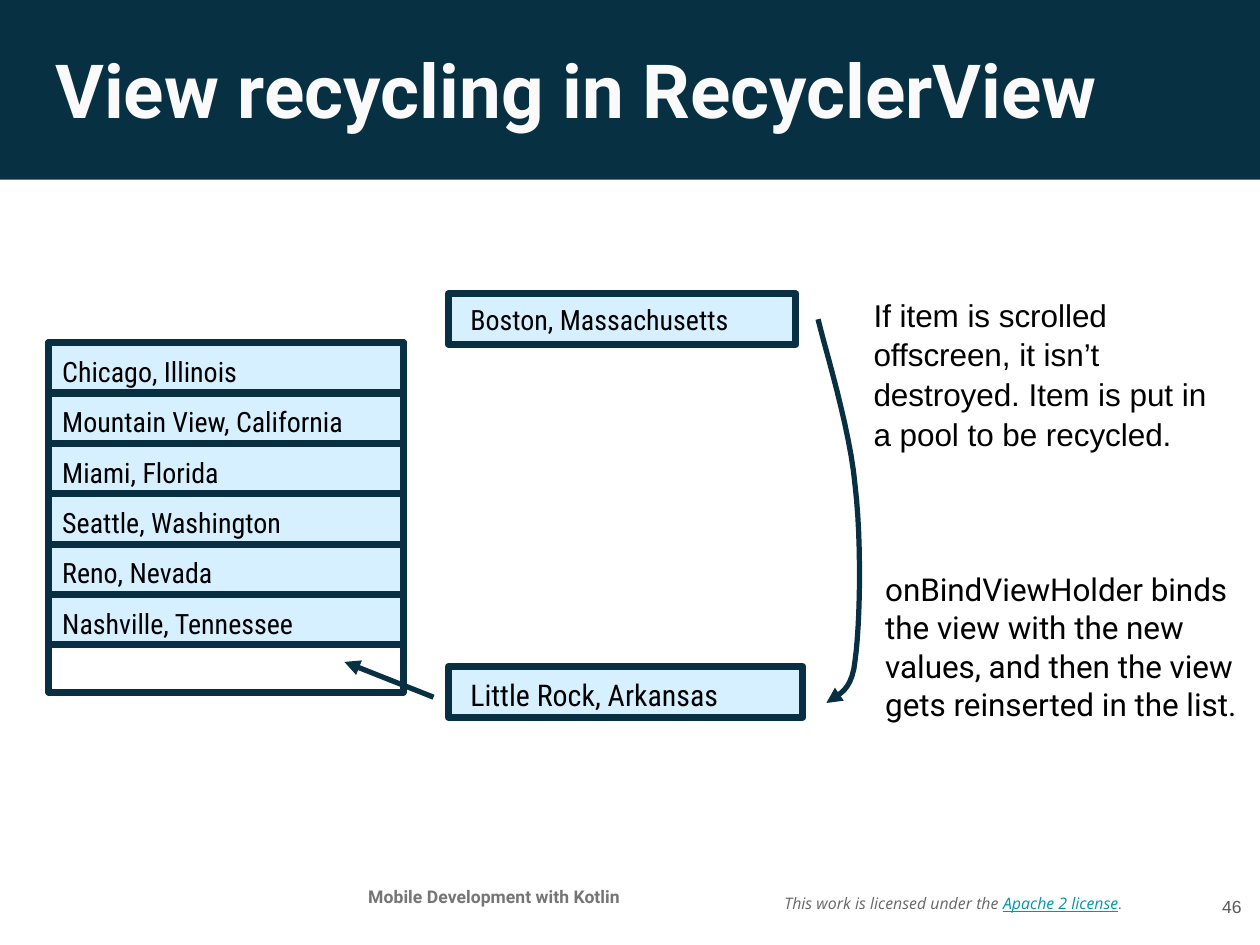
"""Build the slide on view recycling in RecyclerView."""
from pptx import Presentation, util as u
from pptx.dml.color import RGBColor
from pptx.enum import shapes, text
from pptx.oxml import parse_xml
from pptx.oxml.ns import nsdecls

Pt = u.Pt
COLORS = {"band": "073042", "navy": "083042", "row": "D6F0FF", "title": "FAFAFA",
          "black": "000000", "license": "666666", "link": "0097A7",
          "course": "757575", "number": "595959"}
LEFT, CENTER, RIGHT = text.PP_ALIGN.LEFT, text.PP_ALIGN.CENTER, text.PP_ALIGN.RIGHT
TOP, MIDDLE = text.MSO_ANCHOR.TOP, text.MSO_ANCHOR.MIDDLE
ROW_HEIGHT = 21.6


def write(host, words, font="Roboto", size=12, color="black", bold=False, italic=False,
          underline=False, align=LEFT, anchor=TOP, left=5, top=5, spacing=1.0):
    frame = host.text_frame
    frame.word_wrap = True
    frame.vertical_anchor = anchor
    frame.margin_left, frame.margin_top = Pt(left), Pt(top)
    frame.margin_right = frame.margin_bottom = Pt(5)
    paragraph = frame.paragraphs[0]
    paragraph.alignment = align
    paragraph.line_spacing = spacing
    run = paragraph.add_run()
    run.text = words
    run.font.name, run.font.size = font, Pt(size)
    run.font.bold, run.font.italic, run.font.underline = bold, italic, underline
    run.font.color.rgb = RGBColor.from_string(COLORS[color])


def outline(shape, width, fill=None, arrow=False):
    shape.line.color.rgb = RGBColor.from_string(COLORS["navy"])
    shape.line.width = Pt(width)
    if fill:
        shape.fill.solid()
        shape.fill.fore_color.rgb = RGBColor.from_string(COLORS[fill])
    elif hasattr(shape, "fill"):
        shape.fill.background()
    if arrow:
        shape.line._get_or_add_ln().append(
            parse_xml(f'<a:tailEnd {nsdecls("a")} type="triangle"/>'))
    shape._element.spPr.append(parse_xml(f'<a:effectLst {nsdecls("a")}/>'))


deck = Presentation()
deck.slide_width, deck.slide_height = Pt(540), Pt(405)
slide = deck.slides.add_slide(deck.slide_layouts[6])
canvas = slide.shapes
RECT = shapes.MSO_SHAPE.RECTANGLE

band = canvas.add_shape(RECT, 0, 0, Pt(540), Pt(77))
band.shadow.inherit = False
band.fill.solid()
band.fill.fore_color.rgb = RGBColor.from_string(COLORS["band"])
band.line.fill.background()

captions = [
    ((18.7, 13.7, 503, 45), "View recycling in RecyclerView",
     dict(size=32, color="title", bold=True)),
    ((135.4, 375, 152.6, 23), "Mobile Development with Kotlin",
     dict(size=7.5, color="course", bold=True, align=CENTER)),
    ((504.7, 373, 32.4, 31), "46",
     dict(font="Arial", size=7.5, color="number", align=RIGHT, anchor=MIDDLE)),
    ((369.4, 121, 159.8, 84),
     "If item is scrolled offscreen, it isn’t destroyed. Item is put in a pool to be recycled.",
     dict(font="Arial", size=13.5, spacing=1.05)),
    ((374.4, 239, 165.6, 49),
     "onBindViewHolder binds the view with the new values, "
     "and then the view gets reinserted in the list.",
     dict(size=13.5, spacing=1.02)),
]
for place, words, style in captions:
    write(canvas.add_textbox(*map(Pt, place)), words, **style)

license_note = canvas.add_textbox(Pt(331.2), Pt(370), Pt(158.4), Pt(34))
for words, style in [
    ("This work is licensed under the ", dict(font="Open Sans", color="license")),
    ("Apache 2 license", dict(font="Open Sans", color="link", underline=True)),
    (".", dict(color="license")),
]:
    write(license_note, words, size=6.8, italic=True, anchor=MIDDLE, **style)

visible_list = canvas.add_shape(RECT, Pt(20.9), Pt(146.9), Pt(152), Pt(149.8))
outline(visible_list, 3)

cities = ["Chicago, Illinois", "Mountain View, California", "Miami, Florida",
          "Seattle, Washington", "Reno, Nevada", "Nashville, Tennessee"]
items = [(20.9, 146.9 + ROW_HEIGHT * i, 152, city, dict(left=5.8))
         for i, city in enumerate(cities)]
items += [
    (192.2, 126, 149, "Boston, Massachusetts", dict(left=9.4, top=3.8)),
    (192.2, 285.8, 152, "Little Rock, Arkansas", dict(left=9.4, top=4.3, size=12.8)),
]
for x, y, width, city, style in items:
    item = canvas.add_shape(RECT, Pt(x), Pt(y), Pt(width), Pt(ROW_HEIGHT))
    outline(item, 3, fill="row")
    write(item, city, font="Roboto Condensed", **style)

reinsert = canvas.add_connector(shapes.MSO_CONNECTOR.STRAIGHT,
                                Pt(185.8), Pt(298.8), Pt(147.6), Pt(283.7))
outline(reinsert, 2.25, arrow=True)

bends = [
    [(350.6, 136.8), (353.5, 149), (364.3, 183.6), (366.5, 208.1)],
    [(366.5, 208.1), (369.4, 232.6), (368.6, 267.8), (366.5, 283)],
    [(366.5, 283), (365, 298.8), (356.4, 298.1), (354.2, 301.3)],
]
STEPS = 12
curve = []
for bend in bends:
    for step in range(1, STEPS + 1):
        t = step / STEPS
        weights = ((1 - t) ** 3, 3 * t * (1 - t) ** 2, 3 * t * t * (1 - t), t ** 3)
        curve.append([Pt(sum(w * p[axis] for w, p in zip(weights, bend)))
                      for axis in (0, 1)])
start_x, start_y = bends[0][0]
recycle_path = canvas.build_freeform(Pt(start_x), Pt(start_y))
recycle_path.add_line_segments(curve, close=False)
outline(recycle_path.convert_to_shape(), 2.25, arrow=True)

deck.save("out.pptx")
